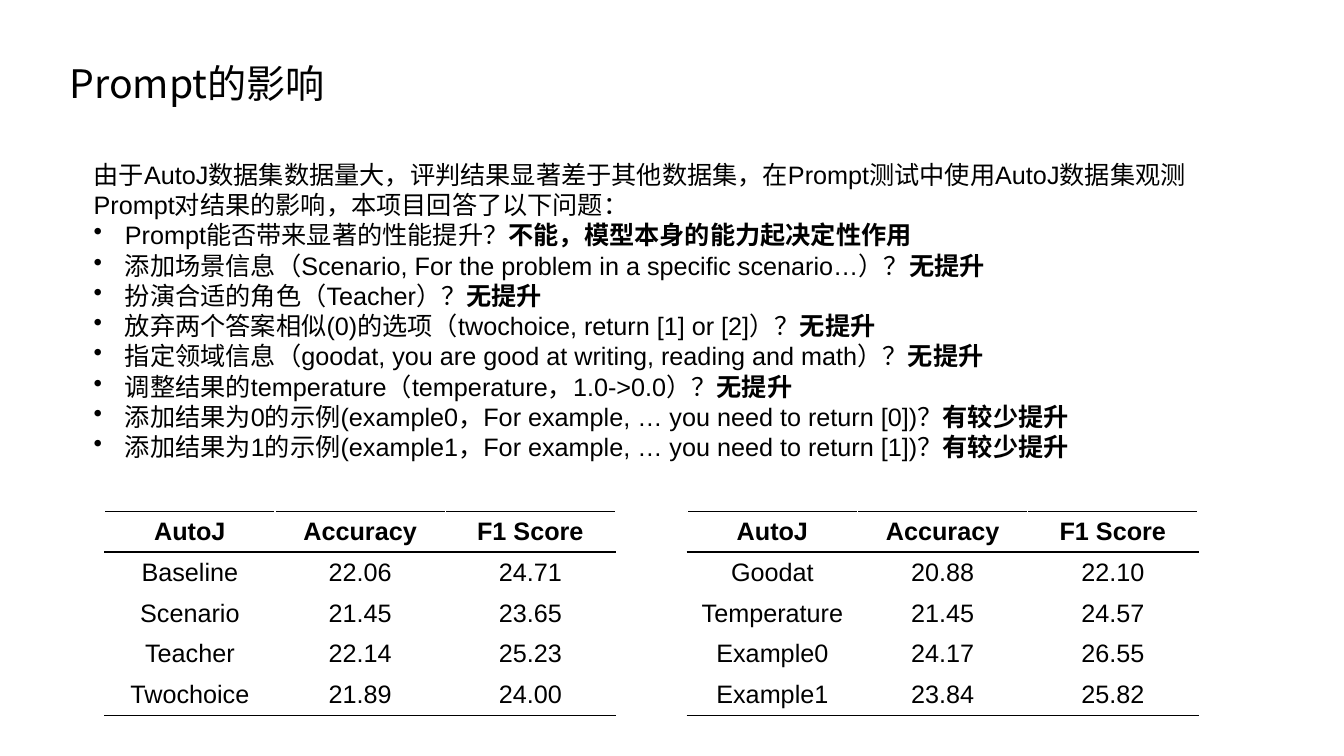
from dataclasses import dataclass

from lxml.etree import SubElement
from pptx import Presentation
from pptx.dml.color import RGBColor
from pptx.enum.text import MSO_ANCHOR as Anchor, MSO_AUTO_SIZE as AutoSize, PP_ALIGN as Align
from pptx.oxml.ns import qn
from pptx.util import Cm, Pt


@dataclass(frozen=True)
class Theme:
    """Colours, fonts and type sizes of the slide."""
    ink: RGBColor = RGBColor(0, 0, 0)
    paper: RGBColor = RGBColor(255, 255, 255)
    title_font: str = "Noto Sans CJK SC"
    body_font: str = "Arial"
    title_size: Pt = Pt(28)
    body_size: Pt = Pt(18)
    rule_width: Pt = Pt(1)


THEME = Theme()

INTRO = "由于AutoJ数据集数据量大，评判结果显著差于其他数据集，在Prompt测试中使用AutoJ数据集观测Prompt对结果的影响，本项目回答了以下问题："
FINDINGS = [
    ("Prompt能否带来显著的性能提升？", "不能，模型本身的能力起决定性作用"),
    ("添加场景信息（Scenario, For the problem in a specific scenario…）？", "无提升"),
    ("扮演合适的角色（Teacher）？", "无提升"),
    ("放弃两个答案相似(0)的选项（twochoice, return [1] or [2]）？", "无提升"),
    ("指定领域信息（goodat, you are good at writing, reading and math）？", "无提升"),
    ("调整结果的temperature（temperature，1.0->0.0）？", "无提升"),
    ("添加结果为0的示例(example0，For example, … you need to return [0])？", "有较少提升"),
    ("添加结果为1的示例(example1，For example, … you need to return [1])？", "有较少提升"),
]
HEADER = ("AutoJ", "Accuracy", "F1 Score")
FIRST_SCORES = [
    ("Baseline", "22.06", "24.71"),
    ("Scenario", "21.45", "23.65"),
    ("Teacher", "22.14", "25.23"),
    ("Twochoice", "21.89", "24.00"),
]
SECOND_SCORES = [
    ("Goodat", "20.88", "22.10"),
    ("Temperature", "21.45", "24.57"),
    ("Example0", "24.17", "26.55"),
    ("Example1", "23.84", "25.82"),
]


def style(paragraph, size=THEME.body_size, name=THEME.body_font, bold=False):
    """Set the font shared by the runs of a paragraph."""
    font = paragraph.font
    font.size, font.name, font.bold = size, name, bold
    font.color.rgb = THEME.ink


def set_title(slide, wording):
    """Place and format the title placeholder."""
    title = slide.shapes.title
    title.left, title.top, title.width, title.height = Cm(1.5), Cm(1.37), Cm(18.31), Cm(1.45)
    frame = title.text_frame
    frame.text = wording
    frame.vertical_anchor = Anchor.TOP
    frame.auto_size = AutoSize.NONE
    heading = frame.paragraphs[0]
    heading.alignment = Align.LEFT
    style(heading, THEME.title_size, THEME.title_font)


def add_bullet(paragraph):
    """Give a paragraph a round bullet with a hanging indent."""
    properties = paragraph._p.get_or_add_pPr()
    properties.set("marL", str(Cm(0.79)))
    properties.set("indent", str(-Cm(0.79)))
    bullet = properties.makeelement(qn("a:buChar"), {"char": "•"})
    properties.insert(0, bullet)


def add_findings(slide):
    """Write the introduction and the questions with their bold answers."""
    frame = slide.shapes.add_textbox(Cm(2.11), Cm(3.89), Cm(29.21), Cm(7.95)).text_frame
    frame.word_wrap = True
    intro = frame.paragraphs[0]
    intro.text = INTRO
    style(intro)
    for question, answer in FINDINGS:
        finding = frame.add_paragraph()
        finding.add_run().text = question
        verdict = finding.add_run()
        verdict.text = answer
        verdict.font.bold = True
        add_bullet(finding)
        style(finding)


def add_rule(cell, side):
    """Draw a thin line along one side of a cell."""
    line = SubElement(cell._tc.get_or_add_tcPr(), qn(f"a:{side}"), w=str(THEME.rule_width))
    fill = SubElement(line, qn("a:solidFill"))
    SubElement(fill, qn("a:srgbClr"), val=str(THEME.ink))


def add_scores(slide, left, scores):
    """Add a table ruled above and below its header and at its foot."""
    rows = [HEADER, *scores]
    table = slide.shapes.add_table(
        len(rows), len(HEADER), left, Cm(12.88), Cm(12.87), Cm(5.15)).table
    table.first_row = table.horz_banding = False
    for r, row in enumerate(rows):
        for c, value in enumerate(row):
            cell = table.cell(r, c)
            if r in (0, 1):
                add_rule(cell, "lnT")
            if r in (0, len(rows) - 1):
                add_rule(cell, "lnB")
            cell.fill.solid()
            cell.fill.fore_color.rgb = THEME.paper
            cell.vertical_anchor = Anchor.MIDDLE
            cell.text = value
            entry = cell.text_frame.paragraphs[0]
            entry.alignment = Align.CENTER
            style(entry, bold=r == 0)


def main():
    """Build the slide and save it."""
    deck = Presentation()
    deck.slide_width, deck.slide_height = Cm(33.87), Cm(19.05)
    slide = deck.slides.add_slide(deck.slide_layouts.get_by_name("Title Only"))
    set_title(slide, "Prompt的影响")
    add_scores(slide, Cm(2.64), FIRST_SCORES)
    add_findings(slide)
    add_scores(slide, Cm(17.32), SECOND_SCORES)
    deck.save("out.pptx")


if __name__ == "__main__":
    main()
